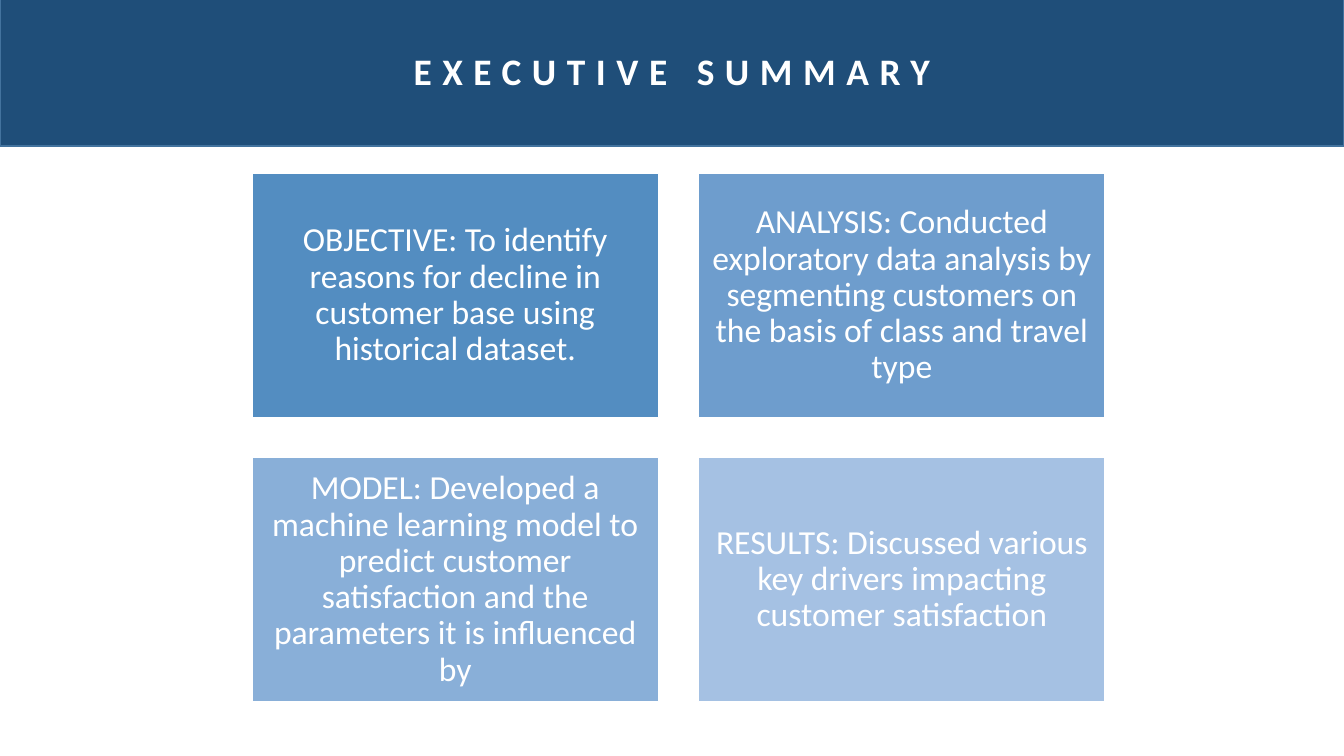
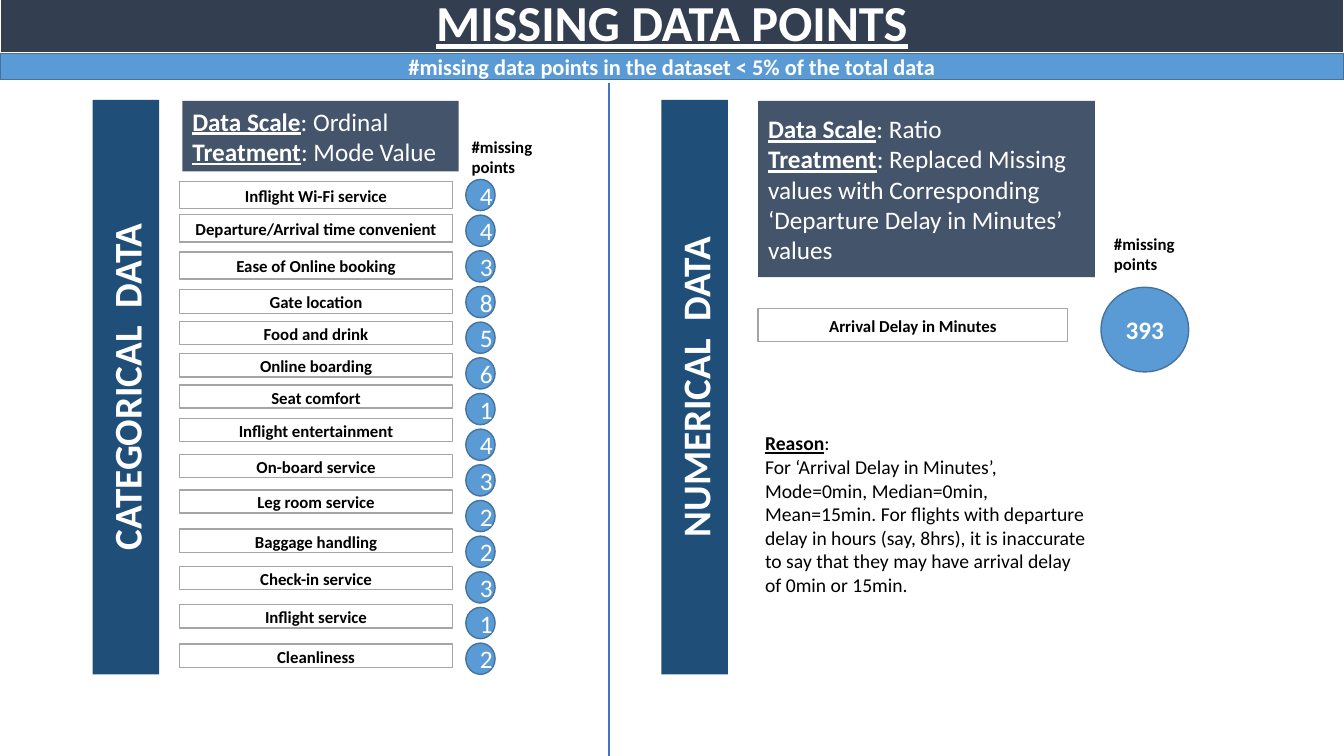
from lxml import etree
from pptx import Presentation
from pptx import util as u
from pptx.dml.color import RGBColor
from pptx.enum import shapes, text
from pptx.oxml.ns import qn

FONT = "Calibri"
COLORS = {
    "white": "FFFFFF", "black": "000000", "navy": "1F4E79", "charcoal": "333F50",
    "slate": "44546A", "blue": "5B9BD5", "edge": "43739E", "grey": "A5A5A5",
    "divider": "4472C4", "card1": "538DC1", "card2": "6E9DCD",
    "card3": "89AFD8", "card4": "A5C1E3",
}
CENTER, LEFT = text.PP_ALIGN.CENTER, text.PP_ALIGN.LEFT
RECT, OVAL = shapes.MSO_SHAPE.RECTANGLE, shapes.MSO_SHAPE.OVAL


def rgb(name):
    return RGBColor.from_string(COLORS[name])


class Deck:
    """Holds the style and the slide being built."""

    def __init__(self):
        self.prs = Presentation()
        self.prs.slide_width, self.prs.slide_height = u.Inches(13.33), u.Inches(7.5)
        self.s = None

    def paint(self, sp, fill, line=None, width=1):
        sp.fill.solid()
        sp.fill.fore_color.rgb = rgb(fill)
        if line:
            sp.line.color.rgb = rgb(line)
            sp.line.width = u.Pt(width)
        else:
            sp.line.fill.background()

    def set_text(self, sp, paragraphs, size, color="white", bold=False, align=CENTER,
                 spacing=None, anchor=text.MSO_ANCHOR.MIDDLE):
        """A paragraph is a string, or a (heading, rest) pair with the heading underlined."""
        tf = sp.text_frame
        tf.word_wrap = True
        tf.vertical_anchor = anchor
        if isinstance(paragraphs, str):
            paragraphs = [paragraphs]
        for i, content in enumerate(paragraphs):
            p = tf.add_paragraph() if i else tf.paragraphs[0]
            p.alignment = align
            if spacing:
                p.line_spacing = spacing
            if isinstance(content, str):
                p.text = content
            else:
                for part in content:
                    p.add_run().text = part
                p.runs[0].font.underline = True
            for r in p.runs:
                r.font.name, r.font.size = FONT, u.Pt(size)
                r.font.color.rgb = rgb(color)
                r.font.bold = bold or bool(r.font.underline)
        return tf

    def title_slide(self, title, top, height, fill, line, width, size):
        """Starts a slide whose title is a band across the top."""
        self.s = self.prs.slides.add_slide(self.prs.slide_layouts[5])
        sp = self.s.shapes.title
        sp.left, sp.top = u.Inches(0), u.Inches(top)
        sp.width, sp.height = self.prs.slide_width, u.Inches(height)
        self.paint(sp, fill, line, width)
        tf = self.set_text(sp, title, size, bold=True)
        tf.auto_size = text.MSO_AUTO_SIZE.NONE
        return tf.paragraphs[0].runs[0]

    def box(self, at, paragraphs, size, fill, line=None, kind=RECT, **style):
        sp = self.s.shapes.add_shape(kind, *map(u.Inches, at))
        sp.shadow.inherit = False
        self.paint(sp, fill, line)
        return self.set_text(sp, paragraphs, size, **style)

    def note(self, at, paragraphs, size, **style):
        sp = self.s.shapes.add_textbox(*map(u.Inches, at))
        self.set_text(sp, paragraphs, size, "black", align=LEFT,
                      anchor=text.MSO_ANCHOR.TOP, **style)

    def sidebar(self, left, label):
        tf = self.box((left, 0.99, 0.66, 5.7), label, 28, "navy", bold=True)
        tf._txBody.bodyPr.set("vert", "vert270")

    def treatment(self, at, scale, method):
        self.box(at, [("Data Scale", ": " + scale), ("Treatment", ": " + method)],
                 18, "slate", align=LEFT)

    def field(self, at, label):
        self.box(at, label, 12, "white", "grey", color="black", bold=True, spacing=1.07)

    def count(self, at, value, bold=False):
        self.box(at, str(value), 18, "blue", "edge", OVAL, bold=bold)

    def count_heading(self, left, top):
        self.note((left, top, 0.84, 0.5), "#missing points", 12, bold=True)

    def rule(self, x, top, bottom):
        ln = self.s.shapes.add_connector(shapes.MSO_CONNECTOR.STRAIGHT,
                                         *map(u.Inches, (x, top, x, bottom)))
        ln.line.color.rgb = rgb("divider")
        ln.line.width = u.Pt(1.5)
        etree.SubElement(ln._element.spPr, qn("a:effectLst"))


def executive_summary(d):
    r = d.title_slide("EXECUTIVE SUMMARY", -0.04, 1.49, "navy", "edge", 1, 26.7)
    r._r.get_or_add_rPr().set("spc", "750")

    # Two by two grid of cards
    cards = [
        "OBJECTIVE: To identify reasons for decline in customer base using "
        "historical dataset.",
        "ANALYSIS: Conducted exploratory data analysis by segmenting customers on "
        "the basis of class and travel type",
        "MODEL: Developed a machine learning model to predict customer satisfaction "
        "and the parameters it is influenced by",
        "RESULTS: Discussed various key drivers impacting customer satisfaction",
    ]
    for i, card in enumerate(cards):
        row, col = divmod(i, 2)
        at = (2.5 + 4.43 * col, 1.72 + 2.82 * row, 4.03, 2.42)
        tf = d.box(at, card, 24, f"card{i + 1}", "white", spacing=0.9)
        tf.margin_top = tf.margin_bottom = u.Inches(0.1)


def missing_data(d):
    r = d.title_slide("MISSING DATA POINTS", -0.11, 0.64, "charcoal", "white", 1.5, 36)
    r.font.underline = True
    d.box((0, 0.53, 13.33, 0.26),
          "#missing data points in the dataset < 5% of the total data",
          16, "blue", "edge", bold=True)
    d.rule(6.04, 0.82, 7.5)

    # Categorical data: label, top and height of the field, missing points
    d.sidebar(0.92, "CATEGORICAL  DATA")
    d.treatment((1.81, 1, 2.74, 0.7), "Ordinal", "Mode Value")
    d.count_heading(4.58, 1.31)
    fields = [
        ("Inflight Wi-Fi service", 1.8, 0.27, 4),
        ("Departure/Arrival time convenient", 2.13, 0.27, 4),
        ("Ease of Online booking", 2.5, 0.27, 3),
        ("Gate location", 2.87, 0.24, 8),
        ("Food and drink", 3.19, 0.23, 5),
        ("Online boarding", 3.51, 0.23, 6),
        ("Seat comfort", 3.82, 0.23, 1),
        ("Inflight entertainment", 4.15, 0.23, 4),
        ("On-board service", 4.51, 0.23, 3),
        ("Leg room service", 4.86, 0.23, 2),
        ("Baggage handling", 5.25, 0.23, 2),
        ("Check-in service", 5.62, 0.23, 3),
        ("Inflight service", 6, 0.23, 1),
        ("Cleanliness", 6.39, 0.23, 2),
    ]
    pitch = (6.38 - 1.78) / (len(fields) - 1)
    for i, (label, top, height, missing) in enumerate(fields):
        d.field((1.78, top, 2.71, height), label)
        d.count((4.62, 1.78 + pitch * i, 0.29, 0.31), missing)

    # Numerical data
    d.sidebar(6.56, "NUMERICAL  DATA")
    d.treatment((7.52, 1, 3.34, 1.75), "Ratio",
                "Replaced Missing values with Corresponding "
                "‘Departure Delay in Minutes’ values")
    d.field((7.52, 3.06, 3.07, 0.33), "Arrival Delay in Minutes")
    d.count_heading(10.95, 2.27)
    d.count((10.92, 2.85, 0.87, 0.84), 393, bold=True)
    d.note((7.49, 4.23, 3.43, 1.75), [
        ("Reason", ":"),
        "For ‘Arrival Delay in Minutes’, Mode=0min, Median=0min, Mean=15min. "
        "For flights with departure delay in hours (say, 8hrs), it is inaccurate "
        "to say that they may have arrival delay of 0min or 15min.",
    ], 14)


def main():
    d = Deck()
    executive_summary(d)
    missing_data(d)
    d.prs.save("out.pptx")


if __name__ == "__main__":
    main()
